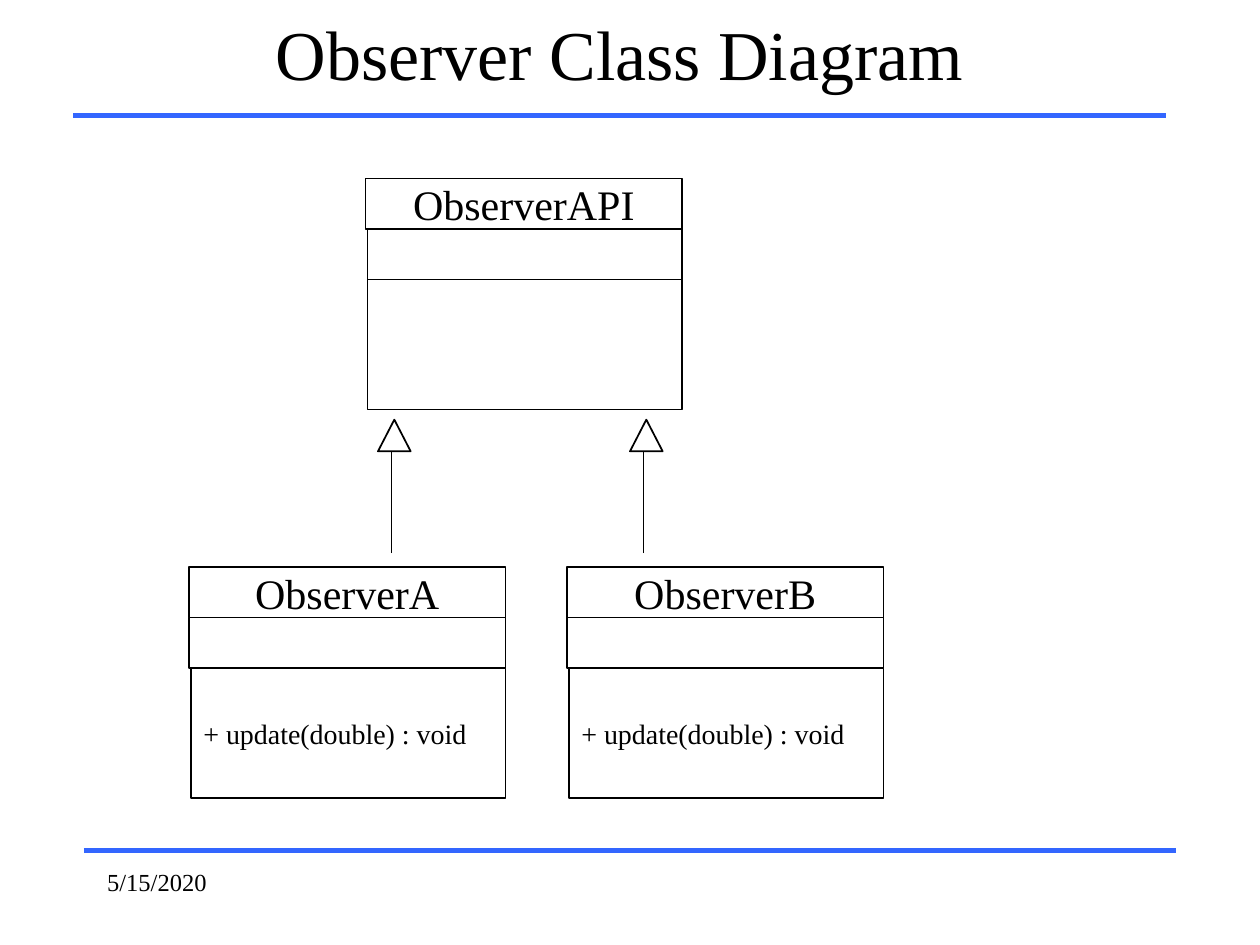
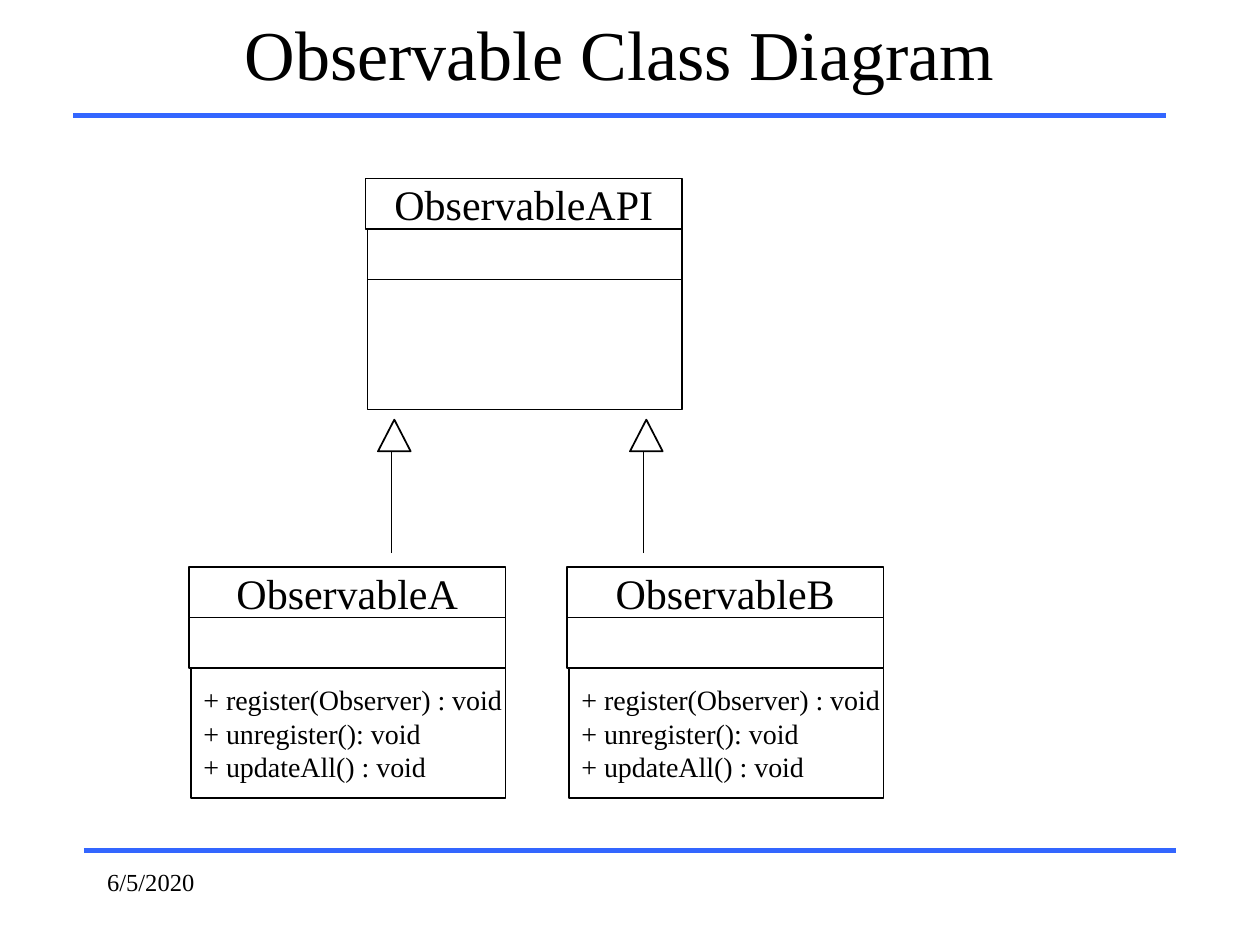
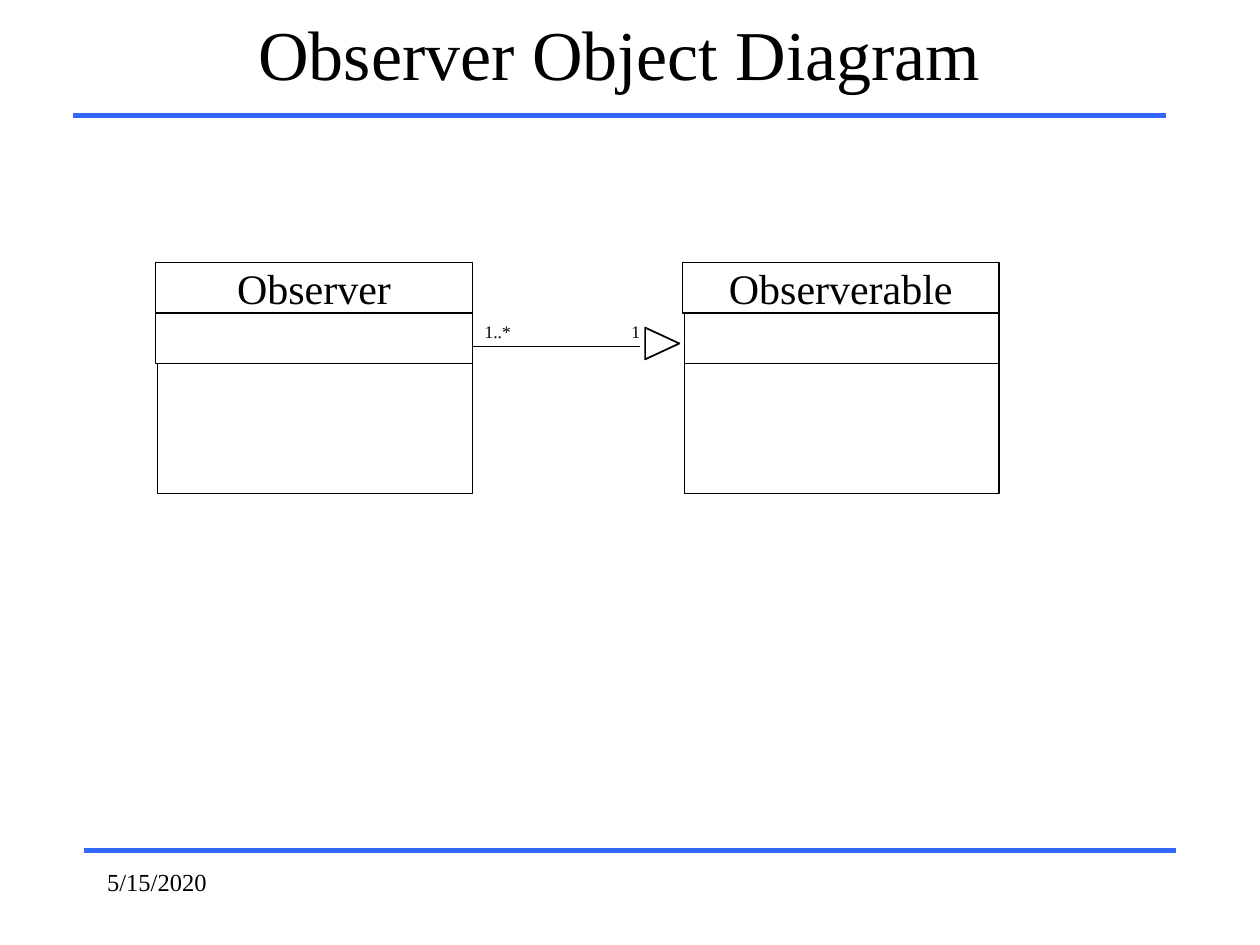
from lxml.etree import SubElement
from pptx import Presentation
from pptx.dml.color import RGBColor
from pptx.enum.shapes import MSO_CONNECTOR, MSO_SHAPE
from pptx.enum.text import MSO_ANCHOR, PP_ALIGN
from pptx.oxml.ns import qn
from pptx.util import Cm, Pt

BLACK = RGBColor(0x00, 0x00, 0x00)
WHITE = RGBColor(0xFF, 0xFF, 0xFF)
BLUE = RGBColor(0x33, 0x66, 0xFF)
FONT = "Times New Roman"

CLASS_W = 6.38
ROW_H = 1.02
OPERATIONS_H = 2.62
INSET = 0.04
HEAD_W, HEAD_H = 0.66, 0.64


def set_attributes(obj, **values):
    for name, value in values.items():
        setattr(obj, name, value)


def write(sp, lines, size, align=PP_ALIGN.LEFT, anchor=MSO_ANCHOR.MIDDLE, wrap=True):
    tf = sp.text_frame
    set_attributes(tf, word_wrap=wrap, vertical_anchor=anchor)
    for i, line in enumerate(lines):
        p = tf.add_paragraph() if i else tf.paragraphs[0]
        p.alignment = align
        r = p.add_run()
        r.text = line
        set_attributes(r.font, name=FONT, size=Pt(size))
        r.font.color.rgb = BLACK


def add_label(shapes, box, text, size, **options):
    sp = shapes.add_textbox(*map(Cm, box))
    write(sp, [text], size, **options)


def add_line(shapes, start, end, width, color=BLACK):
    cxn = shapes.add_connector(MSO_CONNECTOR.STRAIGHT, *map(Cm, (*start, *end)))
    cxn.line.color.rgb = color
    cxn.line.width = Pt(width)
    SubElement(cxn._element.spPr, qn("a:effectLst"))


def add_outline(shapes, kind, box, width, filled=True):
    sp = shapes.add_shape(kind, *map(Cm, box))
    sp.shadow.inherit = False
    if filled:
        sp.fill.solid()
        sp.fill.fore_color.rgb = WHITE
    else:
        sp.fill.background()
    sp.line.color.rgb = BLACK
    sp.line.width = Pt(width)
    return sp


def add_class(s, left, top, name, operations=(), attribute_inset=0):
    shapes = s.shapes.add_group_shape().shapes
    rows = [
        (attribute_inset, ROW_H, ROW_H, [], 16, PP_ALIGN.LEFT),
        (INSET, 2 * ROW_H, OPERATIONS_H, operations, 16, PP_ALIGN.LEFT),
        (0, 0, ROW_H, [name], 24, PP_ALIGN.CENTER),
    ]
    for inset, offset, height, lines, size, align in rows:
        box = (left + inset, top + offset, CLASS_W - inset, height)
        sp = add_outline(shapes, MSO_SHAPE.RECTANGLE, box, 0.75)
        write(sp, lines, size, align, wrap=False)


def add_inheritance(s, left, top):
    shapes = s.shapes.add_group_shape().shapes
    x = left + 0.28
    add_line(shapes, (x, top + 2.69), (x, top + 0.36), 0.5)
    add_outline(shapes, MSO_SHAPE.ISOSCELES_TRIANGLE, (left, top, HEAD_W, HEAD_H), 1)


def add_association(s, left, top, source_count, target_count):
    shapes = s.shapes.add_group_shape().shapes
    add_line(shapes, (left, top + 0.64), (left + 3.39, top + 0.64), 0.5)
    add_label(shapes, (left, top, 1.27, 0.68), source_count, 10)
    add_label(shapes, (left + 2.96, top, 0.85, 0.68), target_count, 10)
    head = add_outline(shapes, MSO_SHAPE.ISOSCELES_TRIANGLE,
                       (left + 3.51, top + 0.23, 0.64, 0.69), 1, filled=False)
    head.rotation = 90


def add_base_slide(prs, title, date):
    s = prs.slides.add_slide(prs.slide_layouts[6])
    add_line(s.shapes, (1.69, 17.15), (23.71, 17.15), 3, BLUE)
    add_line(s.shapes, (1.48, 2.33), (23.5, 2.33), 3, BLUE)
    add_label(s.shapes, (1.48, 0, 22.02, 2.12), title, 40, align=PP_ALIGN.CENTER)
    add_label(s.shapes, (1.91, 17.36, 5.29, 1.27), date, 14, anchor=MSO_ANCHOR.TOP)
    return s


def add_class_diagram(prs, stem, date, operations):
    s = add_base_slide(prs, f"{stem} Class Diagram", date)
    add_class(s, 7.37, 3.6, f"{stem}API", attribute_inset=INSET)
    for i, suffix in enumerate("AB"):
        add_class(s, 3.81 + i * 7.62, 11.43, stem + suffix, operations)
        add_inheritance(s, 7.62 + i * 5.08, 8.46)


def add_object_diagram(prs, date):
    s = add_base_slide(prs, "Observer Object Diagram", date)
    add_class(s, 3.14, 5.29, "Observer")
    add_class(s, 13.76, 5.29, "Observerable", attribute_inset=INSET)
    add_association(s, 9.52, 6.35, "1..*", "1")


def main():
    prs = Presentation()
    set_attributes(prs, slide_width=Cm(25.4), slide_height=Cm(19.05))
    add_class_diagram(prs, "Observer", "5/15/2020", ["+ update(double) : void"])
    add_class_diagram(prs, "Observable", "6/5/2020", [
        "+ register(Observer) : void",
        "+ unregister(): void",
        "+ updateAll() : void",
    ])
    add_object_diagram(prs, "5/15/2020")
    prs.save("out.pptx")


if __name__ == "__main__":
    main()
